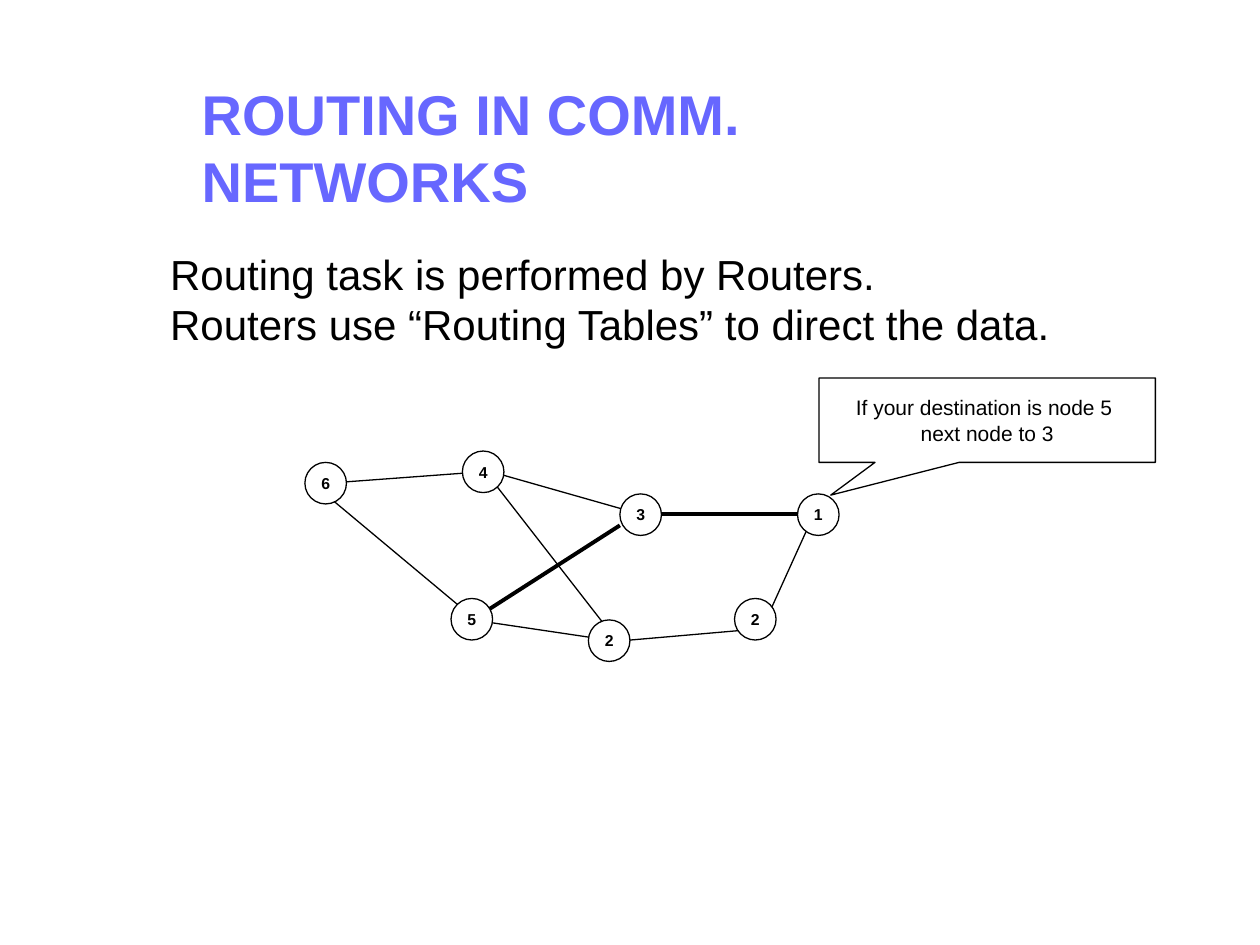
"""Build a slide on routing in communication networks with a node diagram."""
from lxml import etree
from pptx import Presentation
from pptx.dml.color import RGBColor
from pptx.enum.shapes import MSO_CONNECTOR, MSO_SHAPE
from pptx.enum.text import MSO_ANCHOR, MSO_AUTO_SIZE, PP_ALIGN
from pptx.oxml.ns import qn
from pptx.util import Inches, Pt

STRAIGHT = MSO_CONNECTOR.STRAIGHT
OVAL, CALLOUT = MSO_SHAPE.OVAL, MSO_SHAPE.RECTANGULAR_CALLOUT
LEFT, CENTER = PP_ALIGN.LEFT, PP_ALIGN.CENTER
TOP, MIDDLE = MSO_ANCHOR.TOP, MSO_ANCHOR.MIDDLE
NO_FIT = MSO_AUTO_SIZE.NONE
BLACK = RGBColor(0, 0, 0)
WHITE = RGBColor(255, 255, 255)
VIOLET = RGBColor(0x67, 0x67, 0xFF)
THIN, THICK = 0.75, 2.25
NODE_SIZE = 0.33

TITLE = "ROUTING IN COMM. NETWORKS"
BODY = "Routing task is performed by Routers.\nRouters use “Routing Tables” to direct the data."
ADVICE = "If your destination is node 5 \nnext node to 3"
NODES = [
    ("3", 4.92, 3.92),
    ("5", 3.58, 4.75),
    ("2", 5.83, 4.75),
    ("4", 3.67, 3.58),
    ("6", 2.42, 3.67),
    ("1", 6.33, 3.92),
    ("2", 4.67, 4.92),
]
LINKS = [
    ((6.42, 4.17), (6.08, 4.92), THIN),
    ((5.08, 4.08), (3.92, 3.75), THIN),
    ((6.33, 4.08), (5.08, 4.08), THICK),
    ((4.92, 4.17), (3.75, 4.92), THICK),
    ((3.75, 3.75), (2.67, 3.83), THIN),
    ((5.92, 5), (5, 5.08), THIN),
    ((4.83, 5.08), (3.75, 4.92), THIN),
    ((3.67, 4.83), (2.58, 3.92), THIN),
    ((4.83, 5), (3.92, 3.83), THIN),
]


def write(shape, text, size, color=BLACK, bold=False, align=CENTER, anchor=MIDDLE):
    frame = shape.text_frame
    frame.text = text
    frame.word_wrap = False
    frame.auto_size = NO_FIT
    frame.vertical_anchor = anchor
    for para in frame.paragraphs:
        para.alignment = align
        para.space_before = Pt(0)
        for span in para.runs:
            span.font.name = "Arial"
            span.font.size = Pt(size)
            span.font.bold = bold
            span.font.color.rgb = color


def place(shape, left, top, width, height):
    shape.left, shape.top = Inches(left), Inches(top)
    shape.width, shape.height = Inches(width), Inches(height)


def add_link(page, start, end, weight):
    points = [Inches(value) for value in (*start, *end)]
    link = page.shapes.add_connector(STRAIGHT, *points)
    link.line.color.rgb = BLACK
    link.line.width = Pt(weight)
    etree.SubElement(link._element.spPr, qn("a:effectLst"))


def add_outlined(page, kind, *bounds):
    shape = page.shapes.add_shape(kind, *[Inches(value) for value in bounds])
    shape.shadow.inherit = False
    shape.fill.solid()
    shape.fill.fore_color.rgb = WHITE
    shape.line.color.rgb = BLACK
    shape.line.width = Pt(THIN)
    return shape


def main():
    deck = Presentation()
    deck.slide_width, deck.slide_height = Inches(10), Inches(7.5)
    page = deck.slides.add_slide(deck.slide_layouts[1])

    title, body = page.placeholders
    place(title, 1.5, 0.58, 7.19, 0.64)
    write(title, TITLE, 32, VIOLET, True, LEFT, TOP)
    place(body, 1.25, 1.92, 7.22, 0.9)
    write(body, BODY, 24, align=LEFT, anchor=TOP)
    for para in body.text_frame.paragraphs:
        properties = para._p.get_or_add_pPr()
        properties.set("marL", "0")
        properties.set("indent", "0")
        etree.SubElement(properties, qn("a:buNone"))

    for start, end, weight in LINKS:
        add_link(page, start, end, weight)

    callout = add_outlined(page, CALLOUT, 6.5, 3, 2.67, 0.67)
    callout.adjustments[0] = -0.465
    callout.adjustments[1] = 0.888
    write(callout, ADVICE, 12)

    for label, left, top in NODES:
        node = add_outlined(page, OVAL, left, top, NODE_SIZE, NODE_SIZE)
        write(node, label, 9, bold=True)

    deck.save("out.pptx")


if __name__ == "__main__":
    main()
